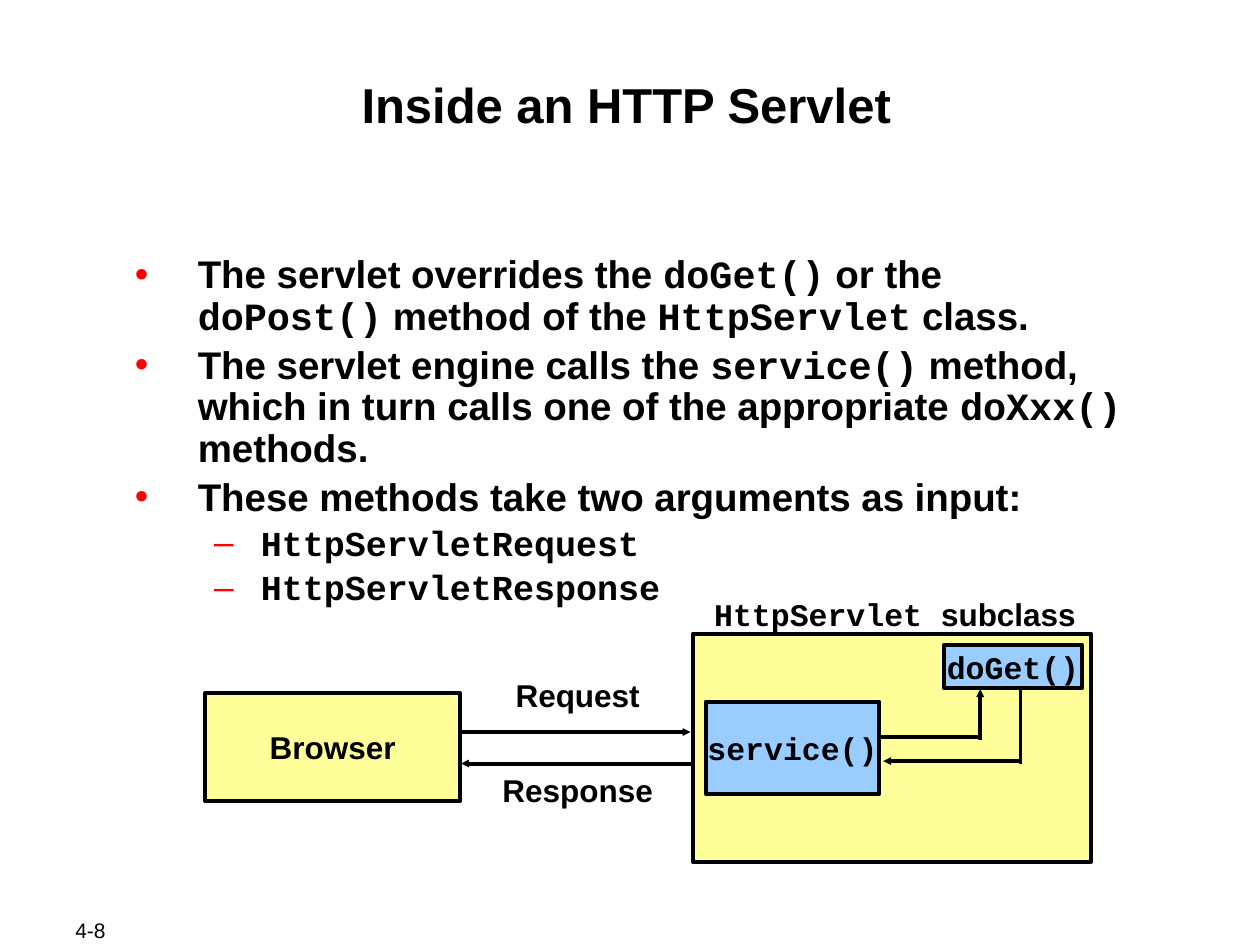
from lxml import etree
from pptx import Presentation
from pptx import util as u
from pptx.dml.color import RGBColor
from pptx.enum import shapes, text as t
from pptx.oxml.ns import qn

BLACK = RGBColor(0, 0, 0)
YELLOW = RGBColor(0xFF, 0xFF, 0x99)
BLUE = RGBColor(0x99, 0xCC, 0xFF)
LEFT, MID = t.PP_ALIGN.LEFT, t.PP_ALIGN.CENTER

deck = Presentation()
deck.slide_width, deck.slide_height = u.Inches(10), u.Inches(7.5)
slide = deck.slides.add_slide(deck.slide_layouts[6])


def put(words, box, size=18, bold=True, align=MID, fill=None, wrap=True,
        middle=False, pad=(0.1, 0.05), before=0, tight=None, bullet=None):
    area = [u.Inches(n) for n in box]
    if fill:
        item = slide.shapes.add_shape(shapes.MSO_SHAPE.RECTANGLE, *area)
        item.shadow.inherit = False
        item.fill.solid()
        item.fill.fore_color.rgb = fill
        item.line.color.rgb = BLACK
        item.line.width = u.Pt(2.25)
    else:
        item = slide.shapes.add_textbox(*area)
    frame = item.text_frame
    frame.word_wrap = wrap
    frame.vertical_anchor = t.MSO_ANCHOR.MIDDLE if middle else t.MSO_ANCHOR.TOP
    frame.margin_left = frame.margin_right = u.Inches(pad[0])
    frame.margin_top = frame.margin_bottom = u.Inches(pad[1])
    for row, line in enumerate(words.split("\n")):
        para = frame.add_paragraph() if row else frame.paragraphs[0]
        para.alignment = align
        para.space_before = u.Pt(before)
        points = size
        if tight:
            para.line_spacing = tight
        if bullet:
            sub = line.startswith("`Http")
            mark, left, hang, points, gap = bullet[sub]
            para.level = int(sub)
            para.space_before = u.Pt(gap)
            props = para._p.get_or_add_pPr()
            props.set("marL", str(u.Inches(left)))
            props.set("indent", str(-u.Inches(hang)))
            tone = etree.SubElement(props, qn("a:buClr"))
            etree.SubElement(tone, qn("a:srgbClr"), val="FF0000")
            etree.SubElement(props, qn("a:buFont"), typeface="Arial")
            etree.SubElement(props, qn("a:buChar"), char=mark)
        for part, piece in enumerate(line.split("`")):
            if piece:
                run = para.add_run()
                run.text = piece
                run.font.name = "Courier New" if part % 2 else "Arial"
                run.font.size = u.Pt(points)
                run.font.bold = bold
                run.font.color.rgb = BLACK


put("Inside an HTTP Servlet", (0.97, 0.58, 8, 0.96), size=28,
    pad=(0.01, 0.01), before=7)
put("The servlet overrides the `doGet()` or the `doPost()` method of the "
    "`HttpServlet` class.\n"
    "The servlet engine calls the `service()` method, which in turn calls "
    "one of the appropriate `doXxx()` methods.\n"
    "These methods take two arguments as input:\n"
    "`HttpServletRequest`\n`HttpServletResponse`",
    (0.94, 2.02, 8.06, 2.86), align=LEFT, pad=(0.01, 0.01), tight=0.9,
    bullet=(("•", 0.62, 0.5, 22, 4.1), ("–", 1.12, 0.37, 20, 3.7)))
put("4-8", (0.5, 7.28, 1.06, 0.2), size=12, bold=False, align=LEFT,
    wrap=False, middle=True)

for words, box, fill in (
    ("", (5.5, 5.03, 3.16, 1.81), YELLOW),
    ("Browser", (1.63, 5.5, 2.02, 0.86), YELLOW),
    ("`service()`", (5.6, 5.57, 1.38, 0.73), BLUE),
    ("`doGet()`", (7.49, 5.12, 1.1, 0.34), BLUE),
):
    put(words, box, fill=fill, wrap=False, middle=True,
        before=11.2 if fill == BLUE else 0)

put("`HttpServlet `subclass", (5.57, 4.67, 3.07, 0.4), align=LEFT,
    wrap=False, before=11.2)
for words, top in (("Request", 5.32), ("Response", 6.07)):
    put(words, (3.51, top, 2.15, 0.4), before=11.2)

for ends, width, arrow in (
    ((3.66, 5.81, 5.48, 5.81), 2.25, True),
    ((5.5, 6.06, 3.66, 6.06), 2.25, True),
    ((6.99, 5.85, 7.78, 5.85), 2, False),
    ((7.78, 5.87, 7.78, 5.47), 2.25, True),
    ((8.09, 6.04, 7.01, 6.04), 2.25, True),
    ((8.1, 6.06, 8.1, 5.47), 2, False),
):
    link = slide.shapes.add_connector(
        shapes.MSO_CONNECTOR.STRAIGHT, *[u.Inches(n) for n in ends])
    link.line.color.rgb = BLACK
    link.line.width = u.Pt(width)
    if arrow:
        etree.SubElement(link.line._get_or_add_ln(), qn("a:tailEnd"),
                         type="triangle", w="sm", len="sm")
    etree.SubElement(link._element.spPr, qn("a:effectLst"))

deck.save("out.pptx")
